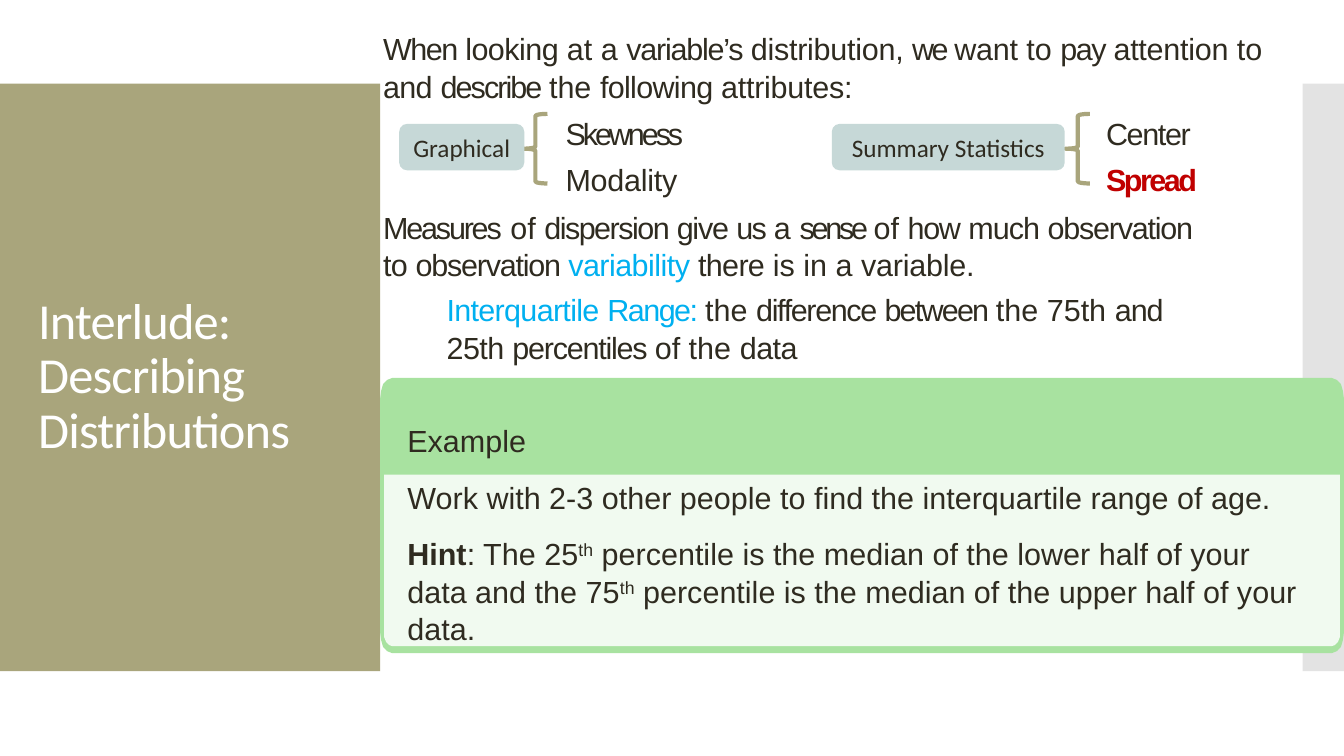
from dataclasses import dataclass

from pptx import Presentation
from pptx import util as u
from pptx.dml.color import RGBColor
from pptx.enum import shapes, text
from pptx.oxml import ns
from lxml import etree

OLIVE = RGBColor(0xA9, 0xA5, 0x7C)
GREY = RGBColor(0xC8, 0xC8, 0xC8)
WHITE = RGBColor(0xFF, 0xFF, 0xFF)
INK = RGBColor(0x2F, 0x2B, 0x20)
RED = RGBColor(0xC0, 0x00, 0x00)
SKY = RGBColor(0x00, 0xB0, 0xF0)
MIST = RGBColor(0xC6, 0xD8, 0xD7)
GREEN = RGBColor(0xA8, 0xE2, 0xA0)
PALE_GREEN = RGBColor(0xF1, 0xFA, 0xF0)


@dataclass(frozen=True)
class Box:
    left: float
    top: float
    width: float
    height: float

    def emu(self) -> list[u.Length]:
        return [u.Inches(v) for v in (self.left, self.top, self.width, self.height)]


@dataclass(frozen=True)
class Span:
    words: str
    spacing: float = 0
    color: RGBColor = INK
    bold: bool = False
    raised: bool = False
    size: float = 21.8
    font: str = "Arial"


@dataclass(frozen=True)
class Passage:
    box: Box
    paragraphs: list[list[Span]]
    indent: float = 0.03
    line_spacing: float = 1.03
    before: float = 1.1
    top_inset: float = 0.02
    right_inset: float = 0


@dataclass(frozen=True)
class Group:
    label: str
    box: Box
    brace_left: float


@dataclass(frozen=True)
class Panel:
    box: Box
    color: RGBColor
    top_corner: list[tuple[float, float]]
    bottom_corner: list[tuple[float, float]]


def add_span(paragraph, span: Span) -> None:
    run = paragraph.add_run()
    run.text = span.words
    run.font.name = span.font
    run.font.size = u.Pt(span.size)
    run.font.bold = span.bold
    run.font.color.rgb = span.color
    properties = run.font._element
    if span.spacing:
        properties.set("spc", str(round(span.spacing * 100)))
    if span.raised:
        properties.set("baseline", "30000")


def draw_passage(slide, passage: Passage) -> None:
    frame = slide.shapes.add_textbox(*passage.box.emu()).text_frame
    frame.word_wrap = True
    frame.auto_size = text.MSO_AUTO_SIZE.SHAPE_TO_FIT_TEXT
    frame.margin_left = frame.margin_bottom = 0
    frame.margin_top = u.Inches(passage.top_inset)
    frame.margin_right = u.Inches(passage.right_inset)
    for index, spans in enumerate(passage.paragraphs):
        paragraph = frame.add_paragraph() if index else frame.paragraphs[0]
        paragraph.line_spacing = passage.line_spacing
        paragraph.space_before = u.Pt(passage.before)
        properties = paragraph._p.get_or_add_pPr()
        properties.set("marL", str(u.Inches(passage.indent)))
        properties.set("indent", "0")
        for span in spans:
            add_span(paragraph, span)


def paint(shape, color: RGBColor) -> None:
    shape.shadow.inherit = False
    shape.fill.solid()
    shape.fill.fore_color.rgb = color
    shape.line.fill.background()


def draw_block(slide, kind: shapes.MSO_SHAPE, box: Box, color: RGBColor):
    block = slide.shapes.add_shape(kind, *box.emu())
    paint(block, color)
    return block


def draw_title(slide, box: Box, span: Span) -> None:
    frame = slide.shapes.add_textbox(*box.emu()).text_frame
    frame.word_wrap = True
    frame.vertical_anchor = text.MSO_ANCHOR.MIDDLE
    frame.paragraphs[0].line_spacing = 0.9
    add_span(frame.paragraphs[0], span)


def draw_group(slide, group: Group) -> None:
    brace = slide.shapes.add_shape(
        shapes.MSO_SHAPE.LEFT_BRACE, *Box(group.brace_left, 1.13, 0.24, 0.69).emu())
    brace.shadow.inherit = False
    brace.fill.background()
    brace.line.color.rgb = OLIVE
    brace.line.width = u.Pt(3)
    tag = draw_block(slide, shapes.MSO_SHAPE.ROUNDED_RECTANGLE, group.box, MIST)
    tag.text_frame.word_wrap = True
    tag.text_frame.vertical_anchor = text.MSO_ANCHOR.MIDDLE
    label = tag.text_frame.paragraphs[0]
    label.alignment = text.PP_ALIGN.CENTER
    add_span(label, Span(group.label, size=18, font="Calibri"))


def draw_panel(slide, panel: Panel) -> None:
    box = panel.box
    right, bottom = box.left + box.width, box.top + box.height
    upper, lower = panel.top_corner, panel.bottom_corner
    outline = (
        [(box.left + x, box.top + y) for x, y in upper]
        + [(box.left + x, bottom - y) for x, y in reversed(lower)]
        + [(right - x, bottom - y) for x, y in lower]
        + [(right - x, box.top + y) for x, y in reversed(upper)]
    )
    points = [(u.Inches(x), u.Inches(y)) for x, y in outline]
    builder = slide.shapes.build_freeform(*points[0])
    builder.add_line_segments(points[1:], close=True)
    paint(builder.convert_to_shape(), panel.color)


OUTER_CORNER = [(0.12, 0), (0.07, 0.02), (0.03, 0.06), (0.01, 0.13), (0, 0.21)]
INNER_CORNER = [(0.08, 0), (0.05, 0.01), (0.02, 0.04), (0, 0.09), (0, 0.14)]
PANELS = [
    Panel(Box(3.77, 3.75, 9.56, 2.73), GREEN, OUTER_CORNER, OUTER_CORNER),
    Panel(Box(3.81, 4.71, 9.48, 1.7), PALE_GREEN, [(0, 0)], INNER_CORNER),
]
GROUPS = [
    Group("Graphical", Box(3.96, 1.23, 1.24, 0.46), 5.19),
    Group("Summary Statistics", Box(8.25, 1.23, 2.31, 0.46), 10.57),
]
ATTRIBUTES = [
    Passage(Box(left, 1.02, width, 0.9), [spans], line_spacing=1.25, before=2, top_inset=0.03)
    for left, width, spans in (
        (10.94, 1.02, [Span("Center ", -1), Span("Spread", -1.8, RED, True)]),
        (5.58, 1.46, [Span("Skewness", -2.2), Span(" Modality", -0.2)]),
    )
]
INTRO = Passage(Box(3.77, 0.27, 9.29, 0.75), [[
    Span("When ", -1.1), Span("looking ", -0.4), Span("at a "), Span("variable’s ", -0.9),
    Span("distribution, ", -0.2), Span("we ", -1.9), Span("want ", -0.2), Span("to "),
    Span("pay ", -1.1), Span("attention ", -0.2), Span("to "), Span("and ", -0.5),
    Span("describe ", -1.4), Span("the "), Span("following ", -0.5), Span("attributes:", -0.2),
]])
DISPERSION = Passage(Box(3.77, 2.04, 8.46, 0.75), [[
    Span("Measures", -1.6), Span(" of "), Span("dispersion ", -1.1), Span("give ", -0.9),
    Span("us ", -1.1), Span("a "), Span("sense ", -2.3), Span("of "), Span("how ", -0.9),
    Span("much ", -0.7), Span("observation ", -0.9), Span("to ", -0.5),
    Span("observation ", -0.9), Span("variability ", -0.4, SKY), Span("there ", -0.5),
    Span("is in a "), Span("variable.", -0.2),
]], right_inset=0.1)
QUARTILES = Passage(Box(3.77, 2.86, 9.5, 0.75), [[
    Span("Interquartile ", -0.5, SKY), Span("Range: ", -1.1, SKY), Span("the "),
    Span("difference ", -1), Span("between ", -1.3), Span("the 75th "), Span("and", -0.8),
    Span(" 25th ", -0.4), Span("percentiles ", -0.9), Span("of the "), Span("data", -0.4),
]], indent=0.66, before=15.8, right_inset=1.35)
EXAMPLE = Passage(Box(3.9, 4.16, 9.01, 2.25), [
    [Span("Example")],
    [Span("Work with 2-3 other people to find the interquartile range of age.")],
    [Span("Hint", bold=True), Span(": The 25"), Span("th", raised=True),
     Span(" percentile is the median of the lower half of your data and the 75"),
     Span("th", raised=True), Span(" percentile is the median of the upper half of your data.")],
], indent=0.14, before=13.3)


def main() -> None:
    deck = Presentation()
    deck.slide_width, deck.slide_height = u.Inches(13.33), u.Inches(7.5)
    slide = deck.slides.add_slide(deck.slide_layouts[6])
    draw_block(slide, shapes.MSO_SHAPE.RECTANGLE, Box(0, 0.83, 3.77, 5.83), OLIVE)
    edge = draw_block(slide, shapes.MSO_SHAPE.RECTANGLE, Box(12.92, 0.83, 0.41, 5.83), GREY)
    tint = edge._element.spPr.find(".//" + ns.qn("a:srgbClr"))
    etree.SubElement(tint, ns.qn("a:alpha"), val="50000")
    draw_title(slide, Box(0.28, 1.23, 3.22, 5.03),
               Span("Interlude: Describing Distributions", -0.6, WHITE, size=36, font="Calibri"))
    for passage in (INTRO, *ATTRIBUTES):
        draw_passage(slide, passage)
    for group in GROUPS:
        draw_group(slide, group)
    for passage in (DISPERSION, QUARTILES):
        draw_passage(slide, passage)
    for panel in PANELS:
        draw_panel(slide, panel)
    draw_passage(slide, EXAMPLE)
    deck.save("out.pptx")


if __name__ == "__main__":
    main()
